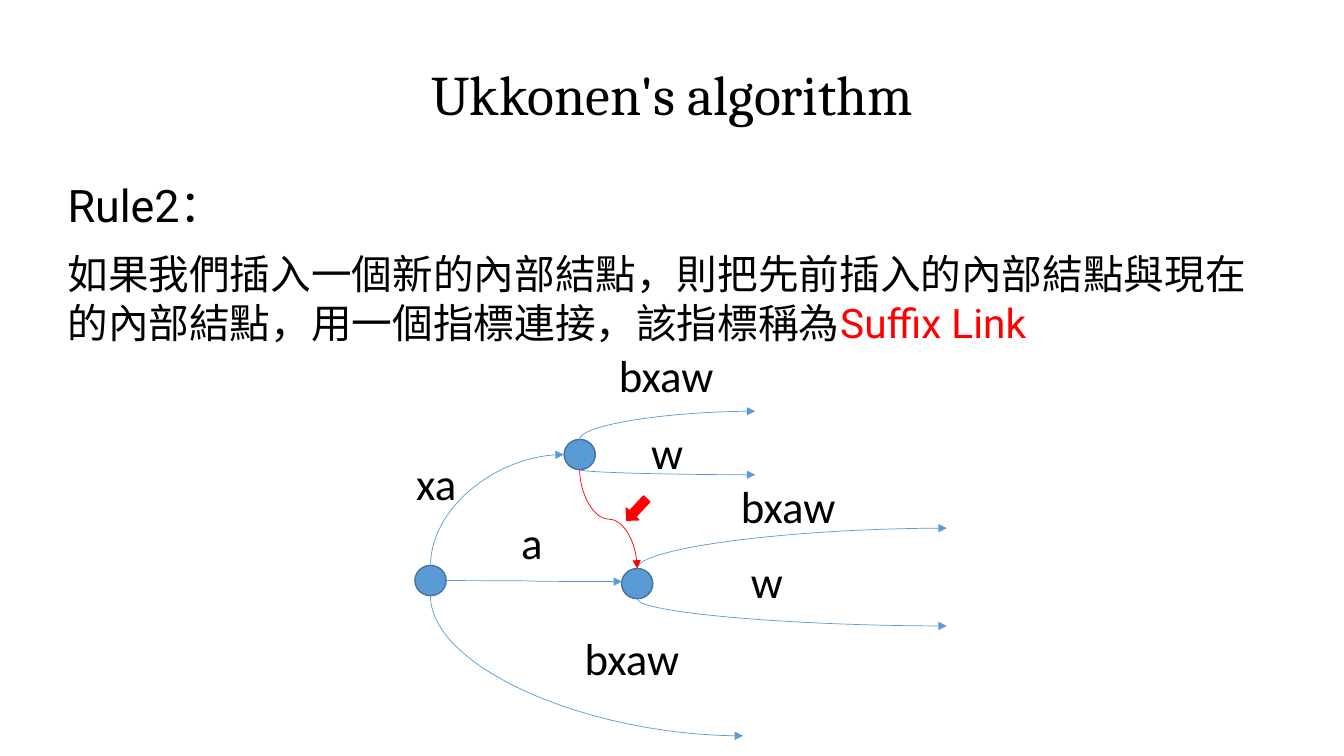
from lxml import etree
from pptx import Presentation
from pptx.dml.color import RGBColor
from pptx.enum import shapes, text
from pptx.oxml.ns import qn
from pptx.util import Inches, Pt

BLACK = RGBColor(0x00, 0x00, 0x00)
RED = RGBColor(0xFF, 0x00, 0x00)
BLUE = RGBColor(0x5B, 0x9B, 0xD5)
DARK_BLUE = RGBColor(0x43, 0x73, 0x9E)
NODE_WIDTH, NODE_HEIGHT = 0.31, 0.3

deck = Presentation()
deck.slide_width, deck.slide_height = Inches(13.33), Inches(7.5)
page = deck.slides.add_slide(deck.slide_layouts[6])


def add_span(para, words, size, font, color=BLACK):
    """Append a run; Chinese characters always use the Noto face."""
    span = para.add_run()
    span.text = words
    span.font.size, span.font.name = Pt(size), font
    span.font.color.rgb = color
    east_asian = etree.SubElement(span.font._element, qn("a:ea"))
    east_asian.set("typeface", "Noto Sans CJK TC")


def add_curve(start, end, preset, color=BLUE):
    """Draw an arrow that leaves start vertically, or sideways if nearly level."""
    (x1, y1), (x2, y2) = start, end
    curve = page.shapes.add_connector(
        shapes.MSO_CONNECTOR.CURVE, Inches(x1), Inches(y1), Inches(x2), Inches(y2))
    curve.line.color.rgb, curve.line.width = color, Pt(0.5)
    properties = curve._element.spPr
    etree.SubElement(properties.find(qn("a:ln")), qn("a:tailEnd")).set("type", "triangle")
    etree.SubElement(properties, qn("a:effectLst"))
    if preset == "sideways":
        return
    # A vertical departure is the sideways preset turned a quarter around its centre.
    width, height = abs(y2 - y1), abs(x2 - x1)
    curve.left, curve.top = Inches((x1 + x2 - width) / 2), Inches((y1 + y2 - height) / 2)
    curve.width, curve.height = Inches(width), Inches(height)
    frame = properties.find(qn("a:xfrm"))
    upward = y2 < y1
    frame.set("rot", "5400000" if upward else "16200000")
    frame.set("flipH", "1")
    frame.set("flipV", "1" if upward else "0")
    properties.find(qn("a:prstGeom")).set("prst", preset)


# Title and rule
frames = []
for top, height, anchor in [(0.3, 1.25, text.MSO_ANCHOR.MIDDLE),
                            (1.76, 4.35, text.MSO_ANCHOR.TOP)]:
    frame = page.shapes.add_textbox(Inches(0.67), Inches(top), Inches(12), Inches(height)).text_frame
    frame.word_wrap, frame.vertical_anchor = True, anchor
    frame.margin_left = frame.margin_right = frame.margin_top = frame.margin_bottom = 0
    frames.append(frame)
title, body = frames
title.paragraphs[0].alignment = text.PP_ALIGN.CENTER
add_span(title.paragraphs[0], "Ukkonen's algorithm", 39.9, "Cambria")

heading = body.paragraphs[0]
add_span(heading, "Rule2", 32, "Roboto")
add_span(heading, "：", 32, "Noto Sans CJK TC")
rule = body.add_paragraph()
rule.space_before = Pt(12.8)
add_span(rule, "如果我們插入一個新的內部結點，則把先前插入的內部結點與現在"
               "的內部結點，用一個指標連接，該指標稱為", 29, "Roboto")
add_span(rule, "Suffix Link", 29, "Roboto", RED)

# Tree nodes, by centre
root, upper, lower = (4.27, 5.76), (5.75, 4.51), (6.32, 5.79)
for x, y in (root, upper, lower):
    node = page.shapes.add_shape(
        shapes.MSO_SHAPE.OVAL, Inches(x - NODE_WIDTH / 2), Inches(y - NODE_HEIGHT / 2),
        Inches(NODE_WIDTH), Inches(NODE_HEIGHT))
    node.shadow.inherit = False
    node.fill.solid()
    node.fill.fore_color.rgb = BLUE
    node.line.color.rgb, node.line.width = DARK_BLUE, Pt(1)

# Edges
for (x, y), end in [(root, (5.59, 4.51)), (root, (7.37, 7.3)),
                    (upper, (7.49, 4.08)), (upper, (7.49, 4.71)),
                    (lower, (9.39, 5.24)), (lower, (9.39, 6.21))]:
    side = -1 if end[1] < y else 1
    add_curve((x, y + side * NODE_HEIGHT / 2), end, "curvedConnector2")
add_curve((4.43, 5.76), (6.17, 5.77), "sideways")
add_curve((5.75, 4.66), (6.32, 5.64), "curvedConnector3", RED)

# Edge labels
for words, left, top, width in [
        ("bxaw", 6.04, 3.4, 1.15), ("xa", 4.03, 4.47, 0.6), ("w", 6.36, 4.16, 0.52),
        ("w", 7.35, 5.44, 0.45), ("bxaw", 5.7, 6.21, 1.15), ("a", 5.07, 5.06, 0.46),
        ("bxaw", 7.25, 4.7, 1.2)]:
    box = page.shapes.add_textbox(Inches(left), Inches(top), Inches(width), Inches(0.64))
    add_span(box.text_frame.paragraphs[0], words, 32, "Calibri")

# Pointer to the suffix link
pointer = page.shapes.add_shape(
    shapes.MSO_SHAPE.RIGHT_ARROW, Inches(6.17), Inches(4.97), Inches(0.29), Inches(0.17))
pointer.rotation = 133.1
pointer.shadow.inherit = False
pointer.fill.solid()
pointer.fill.fore_color.rgb = RED
pointer.line.color.rgb, pointer.line.width = RED, Pt(1)

deck.save("out.pptx")
